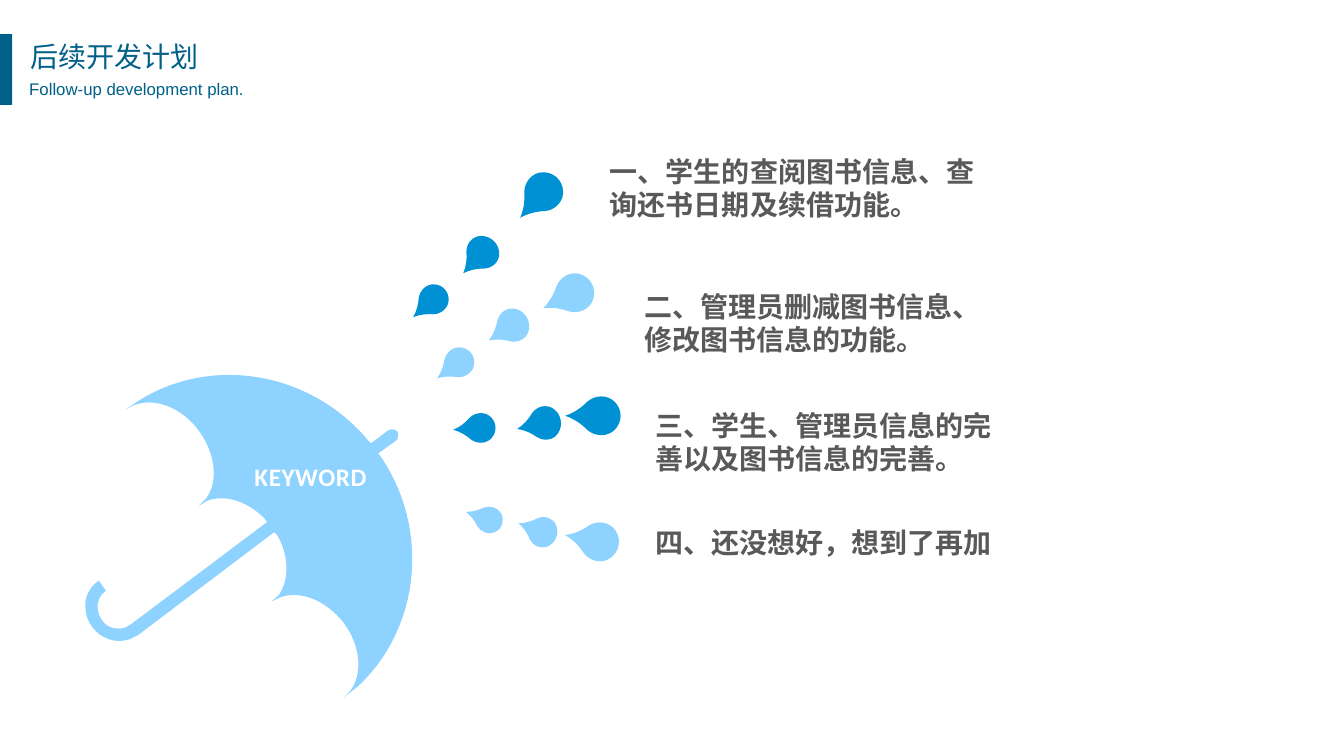
from math import cos, radians, sin

from lxml.etree import SubElement
from pptx import Presentation
from pptx.dml.color import RGBColor
from pptx.enum.shapes import MSO_SHAPE as Shape
from pptx.enum.text import MSO_AUTO_SIZE as AutoSize, PP_ALIGN as Align
from pptx.oxml.ns import qn
from pptx.util import Pt

PX = 9144  # 100 px to the inch
FINE = 10  # outline units per px

NAVY = RGBColor(0x00, 0x60, 0x88)
BLUE = RGBColor(0x00, 0x91, 0xD4)
SKY = RGBColor(0x8E, 0xD2, 0xFF)
GRAY = RGBColor(0x59, 0x59, 0x59)
WHITE = RGBColor(0xFF, 0xFF, 0xFF)
CJK_FONT = "Noto Sans CJK SC"

TITLE = "后续开发计划"
SUBTITLE = "Follow-up development plan."
KEYWORD = "KEYWORD"
PLANS = [  # text, (left, top, width, height)
    ("一、学生的查阅图书信息、查询还书日期及续借功能。", (595, 148, 384, 77)),
    ("二、管理员删减图书信息、修改图书信息的功能。", (629, 282, 373, 77)),
    ("三、学生、管理员信息的完善以及图书信息的完善。", (640, 400, 363, 77)),
    ("四、还没想好，想到了再加", (640, 516, 373, 44)),
]

# Each stream: colour, then drops as ((left, top, width, height), degrees)
STREAMS = [
    (BLUE, [((411, 280, 29, 42), 49), ((458, 233, 33, 44), 43), ((515, 169, 38, 54), 42)]),
    (SKY, [((436, 342, 29, 42), 54), ((487, 304, 33, 44), 58), ((544, 267, 38, 54), 64)]),
    (BLUE, [((456, 404, 29, 42), 86), ((518, 399, 33, 44), 78), ((569, 385, 38, 55), 90)]),
    (SKY, [((467, 495, 26, 38), 109), ((518, 506, 30, 40), 110), ((568, 509, 38, 54), 101)]),
]

# Outlines: a start point, then lines (x, y) and curves (x1, y1, x2, y2, x, y)
DROP_SIZE = (38, 55)
DROP = [
    (19, 0),
    (24, 0, 29, 2, 33, 6),
    (40, 13, 40, 25, 33, 33),
    (27, 39, 22, 46, 19, 55),
    (16, 46, 11, 39, 5, 33),
    (-2, 25, -2, 13, 5, 6),
    (9, 2, 14, 0, 19, 0),
]
UMBRELLA_PLACE = (72, 357, 358, 358)
UMBRELLA_TURN = 53
UMBRELLA = [  # as it stands on the page, already turned
    (394, 428),
    (396, 431, 395, 435, 393, 437),
    (375, 450), (377, 452),
    (427, 525, 417, 623, 355, 681),
    (341, 692), (347, 686),
    (360, 669, 358, 641, 341, 618),
    (323, 595, 297, 585, 277, 593),
    (269, 597), (276, 591),
    (287, 576, 287, 552, 275, 531),
    (272, 528), (137, 630), (133, 632),
    (125, 637, 114, 637, 105, 633),
    (94, 628, 86, 617, 85, 606),
    (83, 594, 88, 583, 98, 576),
    (105, 586),
    (99, 590, 96, 597, 97, 605),
    (98, 612, 102, 619, 109, 622),
    (116, 625, 124, 624, 129, 620),
    (265, 518), (262, 514),
    (245, 497, 222, 490, 205, 497),
    (197, 502), (204, 495),
    (217, 479, 214, 450, 197, 427),
    (180, 404, 153, 394, 133, 402),
    (125, 406), (140, 396),
    (213, 352, 310, 370, 366, 438),
    (368, 440), (385, 427),
    (388, 425, 392, 426, 394, 428),
]


def upright(outline, place, degrees):
    """Turn an outline back by degrees about the middle of its place, from its corner."""
    left, top, width, height = place
    cosine, sine = cos(radians(degrees)), sin(radians(degrees))
    result = []
    for step in outline:
        turned = []
        for x, y in zip(step[::2], step[1::2]):
            across, down = x - left - width / 2, y - top - height / 2
            turned += [width / 2 + across * cosine + down * sine,
                       height / 2 - across * sine + down * cosine]
        result.append(turned)
    return result


def paint(shape, color):
    shape.shadow.inherit = False
    shape.fill.solid()
    shape.fill.fore_color.rgb = color
    shape.line.fill.background()


def add_outline(page, outline, size, place, degrees, color):
    """Frame the place with a freeform, then give it the lines and curves of the outline."""
    left, top, width, height = (value * PX for value in place)
    builder = page.shapes.build_freeform(left, top)
    builder.add_line_segments([(left + width, top), (left + width, top + height),
                               (left, top + height)])
    shape = builder.convert_to_shape()
    paint(shape, color)
    shape.rotation = degrees

    track = shape._element.find(".//" + qn("a:path"))
    for old_step in list(track):
        track.remove(old_step)
    track.set("w", str(size[0] * FINE))
    track.set("h", str(size[1] * FINE))
    for index, step in enumerate(outline):
        kind = "a:moveTo" if index == 0 else "a:lnTo" if len(step) == 2 else "a:cubicBezTo"
        node = SubElement(track, qn(kind))
        for x, y in zip(step[::2], step[1::2]):
            SubElement(node, qn("a:pt"), x=str(round(x * FINE)), y=str(round(y * FINE)))
    SubElement(track, qn("a:close"))


def add_text(page, text, place, size=20, font="Calibri", color=GRAY, bold=False,
             align=Align.LEFT, insets=(10, 5), line=None, before=None, tracking=None):
    box = page.shapes.add_textbox(*(value * PX for value in place))
    frame = box.text_frame
    frame.word_wrap = True
    frame.auto_size = AutoSize.SHAPE_TO_FIT_TEXT
    frame.margin_left = frame.margin_right = insets[0] * PX
    frame.margin_top = frame.margin_bottom = insets[1] * PX
    para = frame.paragraphs[0]
    para.alignment = align
    para.line_spacing = line
    para.space_before = before
    span = para.add_run()
    span.text = text
    span.font.size = Pt(size)
    span.font.name = font
    span.font.bold = bold
    span.font.color.rgb = color
    properties = span._r.get_or_add_rPr()
    SubElement(properties, qn("a:ea")).set("typeface", CJK_FONT)
    if tracking:
        properties.set("spc", str(tracking))


def main():
    deck = Presentation()
    deck.slide_width, deck.slide_height = 1333 * PX, 750 * PX
    page = deck.slides.add_slide(deck.slide_layouts[6])

    umbrella = upright(UMBRELLA, UMBRELLA_PLACE, UMBRELLA_TURN)
    add_outline(page, umbrella, UMBRELLA_PLACE[2:], UMBRELLA_PLACE, UMBRELLA_TURN, SKY)
    for color, drops in STREAMS:
        for place, degrees in drops:
            add_outline(page, DROP, DROP_SIZE, place, degrees, color)

    for plan, place in PLANS:
        add_text(page, plan, place, bold=True)
    add_text(page, KEYWORD, (232, 458, 152, 30), size=18, color=WHITE, bold=True,
             align=Align.CENTER, insets=(0, 0), tracking=40)

    add_text(page, TITLE, (20, 34, 259, 44), font=CJK_FONT, color=NAVY)
    add_text(page, SUBTITLE, (25, 70, 247, 33), size=12, font="Arial", color=NAVY,
             align=Align.JUSTIFY, insets=(4, 4), line=1.2, before=Pt(2.4))
    bar = page.shapes.add_shape(Shape.RECTANGLE, 0, 34 * PX, 12 * PX, 70 * PX)
    paint(bar, NAVY)

    deck.save("out.pptx")


if __name__ == "__main__":
    main()
